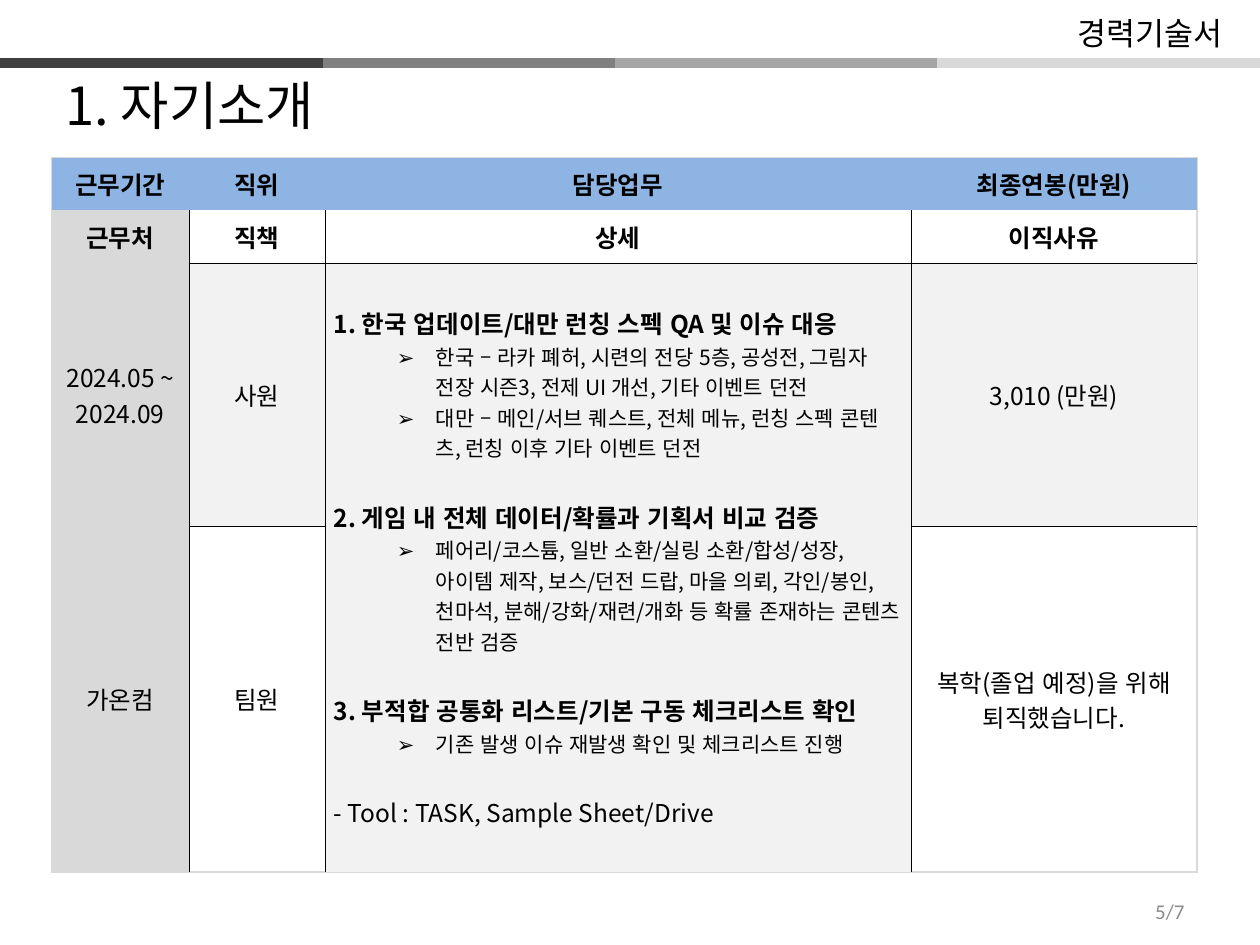
from dataclasses import dataclass
from typing import Optional

from lxml import etree
from pptx import Presentation
from pptx.dml.color import RGBColor
from pptx.enum import lang, shapes, text
from pptx.oxml import ns
from pptx.util import Inches, Pt

BLACK = RGBColor(0x00, 0x00, 0x00)
HEADER_BLUE = RGBColor(0x8E, 0xB4, 0xE3)
PERIOD_GRAY = RGBColor(0xD9, 0xD9, 0xD9)
PALE_GRAY = RGBColor(0xF2, 0xF2, 0xF2)
PAGE_GRAY = RGBColor(0x8C, 0x8C, 0x8C)
BAND_DARK = RGBColor(0x40, 0x40, 0x40)
BAND_MID = RGBColor(0x80, 0x80, 0x80)
BAND_LIGHT = RGBColor(0xA6, 0xA6, 0xA6)
KOREAN = "Noto Sans CJK KR"
LEFT, CENTER, RIGHT = text.PP_ALIGN.LEFT, text.PP_ALIGN.CENTER, text.PP_ALIGN.RIGHT
MIDDLE = text.MSO_ANCHOR.MIDDLE


@dataclass
class Band:
    start: float
    end: float
    color: RGBColor


@dataclass
class Label:
    content: str
    box: tuple
    size: int
    align: text.PP_ALIGN = LEFT
    anchor: text.MSO_ANCHOR = MIDDLE
    font: str = KOREAN
    color: RGBColor = BLACK
    wrap: bool = True


@dataclass
class Duty:
    heading: str
    details: list


@dataclass
class Border:
    color: RGBColor
    width: float


BANDS = [
    Band(2.32, 4.88, BAND_MID),
    Band(4.88, 7.44, BAND_LIGHT),
    Band(7.44, 10, PERIOD_GRAY),
    Band(0, 2.56, BAND_DARK),
]
LABELS = [
    Label("1. 자기소개", (0.42, 0.58, 9, 0.5), 30),
    Label("5/7", (7.17, 7.08, 2.33, 0.3), 12, RIGHT, font="Calibri", color=PAGE_GRAY),
    Label("경력기술서", (8.37, 0.06, 1.43, 0.4), 18, RIGHT, text.MSO_ANCHOR.TOP, wrap=False),
]
CAREER = [
    ["근무기간", "직위", "담당업무", "최종연봉(만원)"],
    ["근무처", "직책", "상세", "이직사유"],
    ["2024.05 ~ 2024.09", "사원", None, "3,010 (만원)"],
    ["가온컴", "팀원", None, "복학(졸업 예정)을 위해 퇴직했습니다."],
]
DUTIES = [
    Duty("1. 한국 업데이트/대만 런칭 스펙 QA 및 이슈 대응", [
        "한국 – 라카 폐허, 시련의 전당 5층, 공성전, 그림자 전장 시즌3, 전제 UI 개선, 기타 이벤트 던전",
        "대만 – 메인/서브 퀘스트, 전체 메뉴, 런칭 스펙 콘텐츠, 런칭 이후 기타 이벤트 던전",
    ]),
    Duty("2. 게임 내 전체 데이터/확률과 기획서 비교 검증", [
        "페어리/코스튬, 일반 소환/실링 소환/합성/성장, 아이템 제작, 보스/던전 드랍, 마을 의뢰, "
        "각인/봉인, 천마석, 분해/강화/재련/개화 등 확률 존재하는 콘텐츠 전반 검증",
    ]),
    Duty("3. 부적합 공통화 리스트/기본 구동 체크리스트 확인", [
        "기존 발생 이슈 재발생 확인 및 체크리스트 진행",
    ]),
]
TOOLS = "- Tool : TASK, Sample Sheet/Drive"
COLUMNS = [1.09, 1.08, 4.65, 2.27]
ROWS = [0.42, 0.42, 2.09, 2.74]
TABLE_LEFT, TABLE_TOP = 0.41, 1.25
DUTY_COLUMN = 2
SECTION_GAP = Pt(20.5)
GRID = Border(BLACK, 0.28)
FRAME = Border(PERIOD_GRAY, 1)


def add_run(paragraph, content: str, size: int, bold: bool = False,
            font: str = KOREAN, color: RGBColor = BLACK) -> None:
    run = paragraph.add_run()
    run.text = content
    run.font.size, run.font.bold, run.font.name = Pt(size), bold, font
    run.font.language_id = lang.MSO_LANGUAGE_ID.KOREAN
    run.font.color.rgb = color
    latin = run.font._element.find(ns.qn("a:latin"))
    east_asian = etree.Element(ns.qn("a:ea"), typeface=font)
    latin.addnext(east_asian)


def add_band(slide, band: Band) -> None:
    line = slide.shapes.add_connector(
        shapes.MSO_CONNECTOR.STRAIGHT,
        Inches(band.start), Inches(0.5), Inches(band.end), Inches(0.5))
    line.line.color.rgb, line.line.width = band.color, Pt(6)
    etree.SubElement(line._element.spPr, ns.qn("a:effectLst"))


def add_label(slide, label: Label) -> None:
    frame = slide.shapes.add_textbox(*map(Inches, label.box)).text_frame
    frame.word_wrap, frame.vertical_anchor = label.wrap, label.anchor
    paragraph = frame.paragraphs[0]
    paragraph.alignment = label.align
    add_run(paragraph, label.content, label.size, font=label.font, color=label.color)


def add_plain_table(slide, columns: list, rows: list):
    table = slide.shapes.add_table(
        len(rows), len(columns), Inches(TABLE_LEFT), Inches(TABLE_TOP),
        Inches(sum(columns)), Inches(sum(rows))).table
    table.first_row = table.horz_banding = False
    for column, width in zip(table.columns, columns):
        column.width = Inches(width)
    for row, height in zip(table.rows, rows):
        row.height = Inches(height)
    return table


def style_cell(cell, fill: Optional[RGBColor], border: Border, sides: str) -> None:
    if fill is None:
        cell.fill.background()
    else:
        cell.fill.solid()
        cell.fill.fore_color.rgb = fill
    properties = cell._tc.get_or_add_tcPr()
    for index, side in enumerate("LRTB"):
        line = etree.Element(ns.qn(f"a:ln{side}"), w=str(Pt(border.width)))
        if side in sides:
            solid = etree.SubElement(line, ns.qn("a:solidFill"))
            etree.SubElement(solid, ns.qn("a:srgbClr"), val=str(border.color))
        else:
            etree.SubElement(line, ns.qn("a:noFill"))
        properties.insert(index, line)


def cell_fill(row: int, column: int) -> Optional[RGBColor]:
    if row == 0:
        return HEADER_BLUE
    if column == 0:
        return PERIOD_GRAY
    return PALE_GRAY if row == 2 or (row == 3 and column == DUTY_COLUMN) else None


def grid_sides(row: int, column: int) -> str:
    """Inner lines only, below the header and right of the period column."""
    inside_merge = column == DUTY_COLUMN
    rules = {
        "L": row > 0 and column > 0,
        "R": row > 0 and column < len(COLUMNS) - 1,
        "T": row > 1 and column > 0 and not (inside_merge and row == 3),
        "B": 0 < row < 3 and column > 0 and not (inside_merge and row == 2),
    }
    return "".join(side for side, drawn in rules.items() if drawn)


def make_bullet(paragraph) -> None:
    paragraph.level = 1
    properties = paragraph._p.get_or_add_pPr()
    properties.set("marL", str(Inches(0.81)))
    properties.set("indent", str(Inches(-0.31)))
    etree.SubElement(properties, ns.qn("a:buFont"), typeface=KOREAN)
    etree.SubElement(properties, ns.qn("a:buChar"), char="➢")


def write_duties(frame) -> None:
    paragraph = frame.paragraphs[0]
    for duty in DUTIES:
        add_run(paragraph, duty.heading, 14, bold=True)
        for detail in duty.details:
            bullet = frame.add_paragraph()
            make_bullet(bullet)
            add_run(bullet, detail, 12)
        paragraph = frame.add_paragraph()
        paragraph.space_before = SECTION_GAP
    add_run(paragraph, TOOLS, 14)


def add_career_table(slide) -> None:
    table = add_plain_table(slide, COLUMNS, ROWS)
    for r, row in enumerate(CAREER):
        for c, content in enumerate(row):
            cell = table.cell(r, c)
            style_cell(cell, cell_fill(r, c), GRID, grid_sides(r, c))
            cell.vertical_anchor = MIDDLE
            cell.margin_left = cell.margin_right = Inches(0.07)
            cell.margin_top = cell.margin_bottom = Inches(0.02)
            if content:
                paragraph = cell.text_frame.paragraphs[0]
                paragraph.alignment = CENTER
                add_run(paragraph, content, 14, bold=r < 2)
    duties = table.cell(2, DUTY_COLUMN)
    duties.merge(table.cell(3, DUTY_COLUMN))
    write_duties(duties.text_frame)


def main() -> None:
    deck = Presentation()
    deck.slide_width, deck.slide_height = Inches(10), Inches(7.5)
    slide = deck.slides.add_slide(deck.slide_layouts[6])

    # Header bands
    for band in BANDS:
        add_band(slide, band)

    # Frame behind the career table
    frame = add_plain_table(slide, [sum(COLUMNS)], [sum(ROWS)])
    style_cell(frame.cell(0, 0), None, FRAME, "LRTB")

    # Title, page number and document name
    for label in LABELS:
        add_label(slide, label)

    # Career details
    add_career_table(slide)
    deck.save("out.pptx")


if __name__ == "__main__":
    main()
